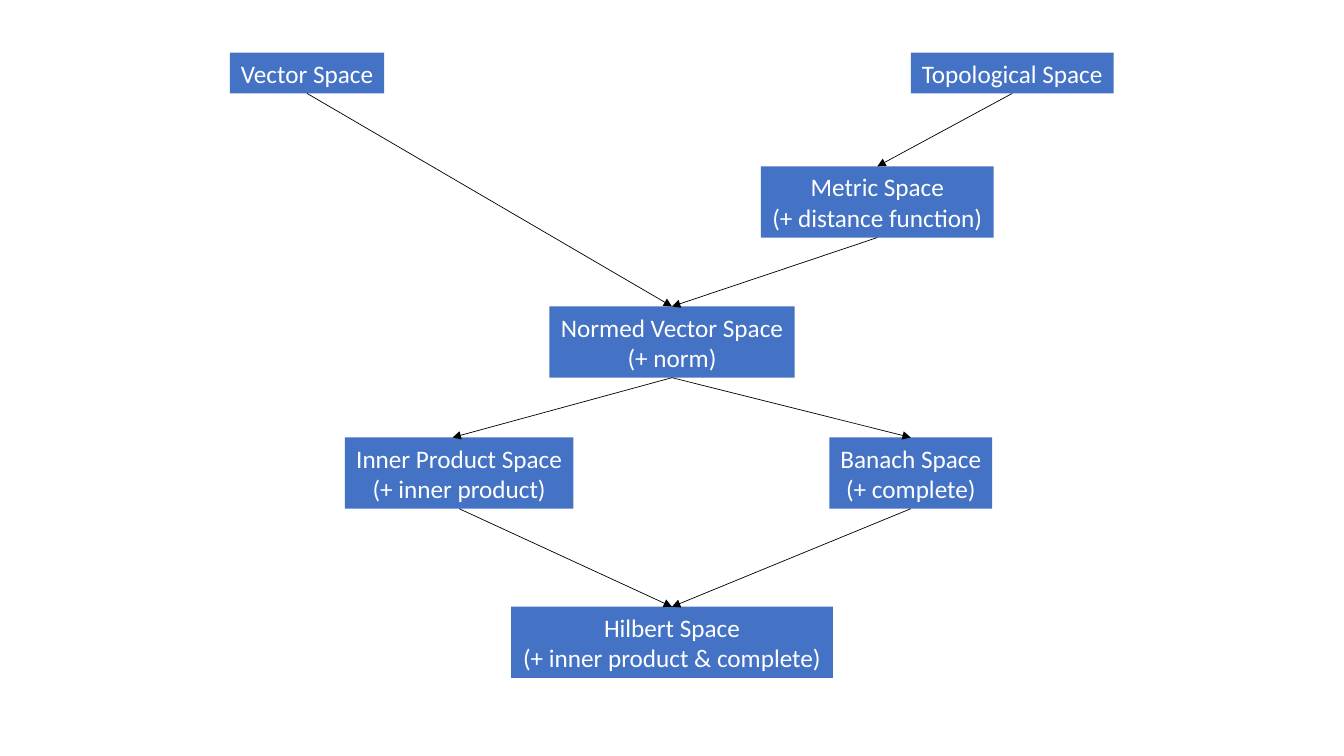
from typing import NamedTuple

from lxml import etree
from pptx import Presentation
from pptx.dml.color import RGBColor
from pptx.enum.shapes import MSO_CONNECTOR, MSO_SHAPE
from pptx.enum.text import MSO_ANCHOR, MSO_AUTO_SIZE, PP_ALIGN
from pptx.oxml.ns import qn
from pptx.shapes.autoshape import Shape
from pptx.slide import Slide
from pptx.util import Pt

RECTANGLE = MSO_SHAPE.RECTANGLE
STRAIGHT = MSO_CONNECTOR.STRAIGHT
CENTER = PP_ALIGN.CENTER
MIDDLE = MSO_ANCHOR.MIDDLE
GROW = MSO_AUTO_SIZE.SHAPE_TO_FIT_TEXT

COLORS = {"box": "4472C4", "text": "FFFFFF", "arrow": "000000"}
FONT = "Calibri"
FONT_SIZE = 18
ONE_LINE_HEIGHT = 29.1
EXTRA_LINE_HEIGHT = 21.8
TOP_SITE, BOTTOM_SITE = 0, 2


class Space(NamedTuple):
    lines: tuple[str, ...]
    center: float
    top: float
    width: float

    @property
    def height(self) -> float:
        return ONE_LINE_HEIGHT + EXTRA_LINE_HEIGHT * (len(self.lines) - 1)


class Refinement(NamedTuple):
    general: str
    special: str
    end_shift: float = 0


# Tops of the levels, from general to special
AXIOMS, METRIC, NORMED, REFINED, HILBERT = 37.6, 118.8, 218.9, 312.5, 433.4
MIDLINE = 480

SPACES = {
    "vector": Space(("Vector Space",), 219.3, AXIOMS, 110.2),
    "topological": Space(("Topological Space",), 723.1, AXIOMS, 144.9),
    "metric": Space(("Metric Space", "(+ distance function)"), 626.7, METRIC, 166.4),
    "normed": Space(("Normed Vector Space", "(+ norm)"), MIDLINE, NORMED, 175.2),
    "banach": Space(("Banach Space", "(+ complete)"), 650.6, REFINED, 116.2),
    "inner": Space(("Inner Product Space", "(+ inner product)"), 328, REFINED, 163.4),
    "hilbert": Space(("Hilbert Space", "(+ inner product & complete)"), MIDLINE, HILBERT, 229.8),
}

REFINEMENTS = [
    Refinement("vector", "normed"),
    Refinement("metric", "normed"),
    Refinement("topological", "metric"),
    Refinement("normed", "inner", end_shift=-4.7),
    Refinement("normed", "banach"),
    Refinement("banach", "hilbert"),
    Refinement("inner", "hilbert"),
]


def color(name: str) -> RGBColor:
    return RGBColor.from_string(COLORS[name])


def draw_space(slide: Slide, space: Space) -> Shape:
    box = slide.shapes.add_shape(
        RECTANGLE, Pt(space.center - space.width / 2), Pt(space.top),
        Pt(space.width), Pt(space.height))
    box.shadow.inherit = False
    box.fill.solid()
    box.fill.fore_color.rgb = color("box")
    box.line.fill.background()
    frame = box.text_frame
    frame.word_wrap = False
    frame.auto_size = GROW
    frame.vertical_anchor = MIDDLE
    for index, line in enumerate(space.lines):
        paragraph = frame.add_paragraph() if index else frame.paragraphs[0]
        paragraph.alignment = CENTER
        run = paragraph.add_run()
        run.text = line
        run.font.name = FONT
        run.font.size = Pt(FONT_SIZE)
        run.font.color.rgb = color("text")
    return box


def draw_refinement(slide: Slide, link: Refinement, boxes: dict[str, Shape]) -> None:
    general, special = SPACES[link.general], SPACES[link.special]
    arrow = slide.shapes.add_connector(
        STRAIGHT, Pt(general.center), Pt(general.top + general.height),
        Pt(special.center + link.end_shift), Pt(special.top))
    arrow.begin_connect(boxes[link.general], BOTTOM_SITE)
    if not link.end_shift:
        arrow.end_connect(boxes[link.special], TOP_SITE)
    arrow.line.width = Pt(0.5)
    arrow.line.color.rgb = color("arrow")
    # Arrowhead, and no shadow
    properties = arrow.line._get_or_add_ln()
    etree.SubElement(properties, qn("a:tailEnd"), type="triangle")
    etree.SubElement(properties.getparent(), qn("a:effectLst"))


presentation = Presentation()
presentation.slide_width, presentation.slide_height = Pt(960), Pt(540)
hierarchy = presentation.slides.add_slide(presentation.slide_layouts[6])

# Spaces
space_boxes = {key: draw_space(hierarchy, space) for key, space in SPACES.items()}

# Arrows from general to special
for refinement in REFINEMENTS:
    draw_refinement(hierarchy, refinement, space_boxes)

presentation.save("out.pptx")
